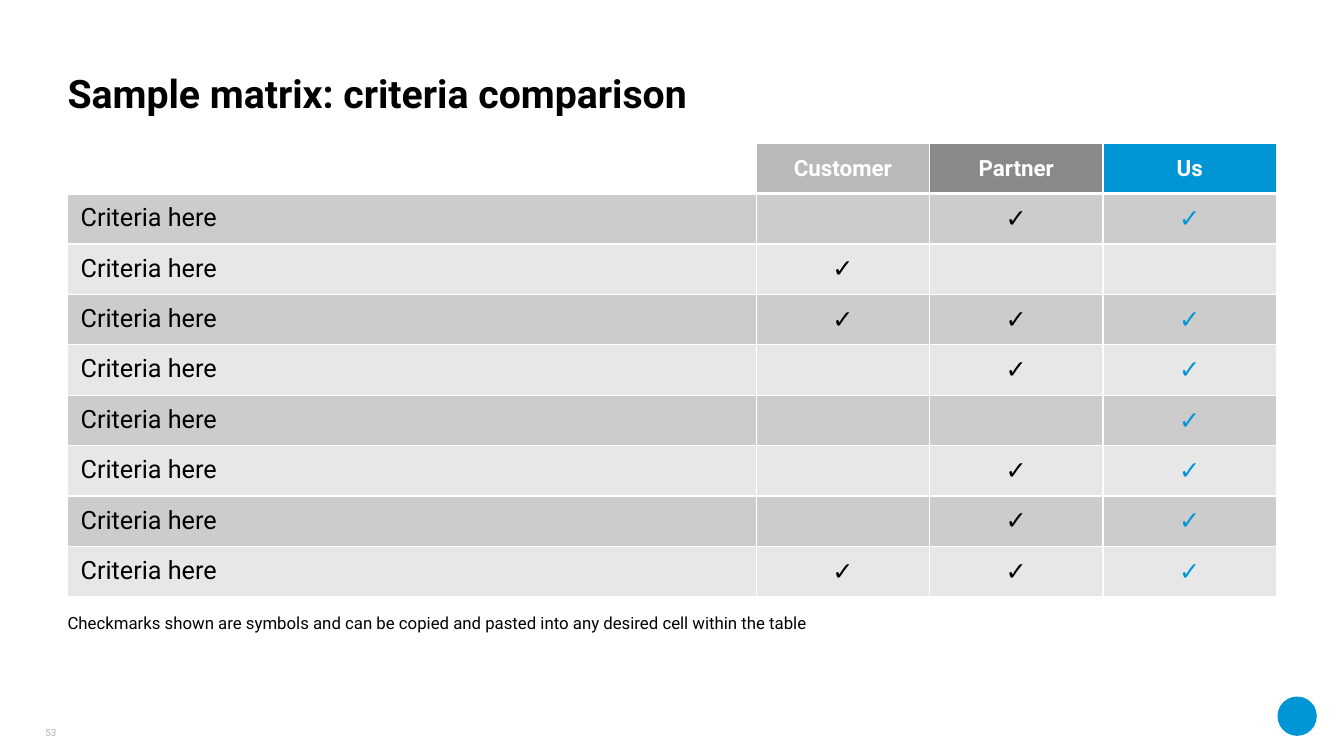
import pptx
import pptx.util
import pptx.dml.color
import pptx.enum.shapes
import pptx.enum.text
import pptx.oxml
import pptx.oxml.ns

Inches, Pt = pptx.util.Inches, pptx.util.Pt
ALIGN, ANCHOR = pptx.enum.text.PP_ALIGN, pptx.enum.text.MSO_ANCHOR
BLUE, BLACK, WHITE = "0096D6", "000000", "FFFFFF"
HEADERS = [("Customer", "B9B8BB"), ("Partner", "87898B"), ("Us", BLUE)]
CHECKS = ["011", "100", "111", "011", "001", "011", "011", "111"]
BANDS = ["CCCCCC", "E7E7E7"]


def rgb(color):
    return pptx.dml.color.RGBColor.from_string(color)


class Deck:
    """Hold the style and the current slide, and add elements to it."""

    def __init__(self, font="Roboto"):
        self.font = font
        self.prs = pptx.Presentation()
        self.prs.slide_width, self.prs.slide_height = Inches(13.33), Inches(7.5)
        self.slide = self.prs.slides.add_slide(self.prs.slide_layouts[5])

    def set_text(self, tf, text, size, color=BLACK, bold=False, align=ALIGN.LEFT, font=None, spacing=None):
        p = tf.paragraphs[0]
        p.text, p.alignment, p.line_spacing = text, align, spacing
        p.font.name, p.font.size, p.font.bold = font or self.font, Pt(size), bold
        p.font.color.rgb = rgb(color)

    def frame(self, sp, box, anchor):
        sp.left, sp.top, sp.width, sp.height = map(Inches, box)
        tf = sp.text_frame
        tf.word_wrap, tf.vertical_anchor = True, anchor
        tf.auto_size = pptx.enum.text.MSO_AUTO_SIZE.NONE
        tf.margin_left = tf.margin_right = tf.margin_top = tf.margin_bottom = 0
        return tf

    def title(self, text, box):
        tf = self.frame(self.slide.shapes.title, box, ANCHOR.BOTTOM)
        self.set_text(tf, text, 28, bold=True, spacing=0.9)

    def text(self, text, box, size, color=BLACK, align=ALIGN.LEFT, anchor=ANCHOR.TOP):
        sp = self.slide.shapes.add_textbox(*map(Inches, box))
        self.set_text(self.frame(sp, box, anchor), text, size, color, align=align)

    def disc(self, box, color):
        sp = self.slide.shapes.add_shape(pptx.enum.shapes.MSO_SHAPE.OVAL, *map(Inches, box))
        sp.shadow.inherit = False
        sp.fill.solid()
        sp.fill.fore_color.rgb = rgb(color)
        sp.line.fill.background()

    def style_cell(self, cell, fill, top, bottom):
        cell.margin_left = cell.margin_right = Inches(0.13)
        cell.margin_top = cell.margin_bottom = Inches(0.05)
        cell.vertical_anchor = ANCHOR.MIDDLE
        if fill:
            cell.fill.solid()
            cell.fill.fore_color.rgb = rgb(fill)
        else:
            cell.fill.background()
        tc_pr = cell._tc.get_or_add_tcPr()
        for i, (side, width) in enumerate([("L", 0.96), ("R", 0.96), ("T", top), ("B", bottom)]):
            tc_pr.insert(i, pptx.oxml.parse_xml(
                f'<a:ln{side} {pptx.oxml.ns.nsdecls("a")} w="{Pt(width)}"><a:solidFill>'
                f'<a:srgbClr val="{WHITE}"/></a:solidFill></a:ln{side}>'))

    def matrix(self, box, widths, label):
        rows = len(CHECKS) + 1
        table = self.slide.shapes.add_table(rows, len(widths), *map(Inches, box)).table
        table.first_row = table.horz_banding = False
        for column, width in zip(table.columns, widths):
            column.width = Inches(width)
        self.style_cell(table.cell(0, 0), None, 0.96, 3)
        for c, (name, fill) in enumerate(HEADERS, 1):
            cell = table.cell(0, c)
            self.style_cell(cell, fill, 0.96, 3)
            self.set_text(cell.text_frame, name, 16, WHITE, True, ALIGN.CENTER)
        for r, checks in enumerate(CHECKS, 1):
            for c in range(len(widths)):
                cell = table.cell(r, c)
                self.style_cell(cell, BANDS[(r - 1) % 2], 3 if r == 1 else 0.96, 0.96)
                if c == 0:
                    self.set_text(cell.text_frame, label, 18, spacing=0.9)
                elif checks[c - 1] == "1":
                    color = BLUE if c == len(HEADERS) else BLACK
                    self.set_text(cell.text_frame, "✓", 18, color, align=ALIGN.CENTER, font="Arial")


def main():
    deck = Deck()
    deck.disc((12.67, 6.91, 0.39, 0.39), BLUE)
    deck.title("Sample matrix: criteria comparison", (0.67, 0.33, 12, 0.83))
    deck.matrix((0.67, 1.42, 12, 4.5), [6.83, 1.72, 1.72, 1.72], "Criteria here")
    deck.text("Checkmarks shown are symbols and can be copied and pasted into any desired cell within the table",
              (0.67, 6.08, 12, 0.25), 12)
    deck.text("53", (0.23, 7.09, 0.33, 0.24), 7, "A8B2B2", ALIGN.RIGHT, ANCHOR.BOTTOM)
    deck.prs.save("out.pptx")


if __name__ == "__main__":
    main()
